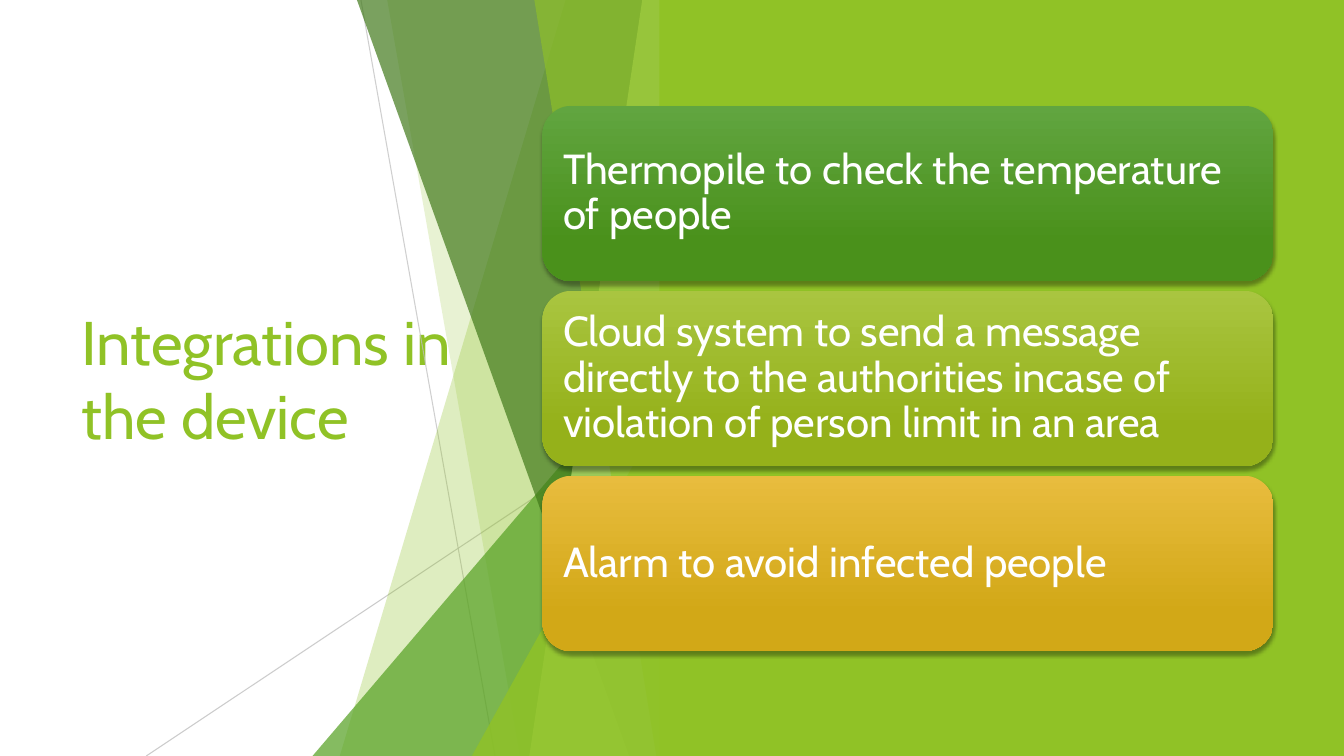
import pptx
import pptx.util
import pptx.dml.color
import pptx.enum.shapes
import pptx.enum.text
import pptx.oxml
import pptx.oxml.ns
from lxml import etree

Inches = pptx.util.Inches
RGB = pptx.dml.color.RGBColor.from_string
qn = pptx.oxml.ns.qn
SHAPE = pptx.enum.shapes.MSO_SHAPE

COLORS = {
    "lime": "90C226", "green": "54A021", "forest": "3F7818", "pale": "BFE471",
    "ray": "BFBFBF", "white": "FFFFFF",
    "green_top": "61A540", "green_base": "4A911B",
    "olive_top": "A9C540", "olive_base": "95B11A",
    "gold_top": "E8BC3E", "gold_base": "D2A817",
}


def write_text(frame, text, size, color, inset_x, inset_y, spacing=1.0):
    frame.word_wrap = True
    frame.vertical_anchor = pptx.enum.text.MSO_ANCHOR.MIDDLE
    frame.margin_left = frame.margin_right = Inches(inset_x)
    frame.margin_top = frame.margin_bottom = Inches(inset_y)
    paragraph = frame.paragraphs[0]
    paragraph.alignment = pptx.enum.text.PP_ALIGN.LEFT
    paragraph.line_spacing = spacing
    run = paragraph.add_run()
    run.text = text
    run.font.name = "Cabin"
    run.font.size = pptx.util.Pt(size)
    run.font.color.rgb = RGB(COLORS[color])


def paint(fill, color, opacity=100):
    fill.solid()
    fill.fore_color.rgb = RGB(COLORS[color])
    if opacity < 100:
        srgb = fill._xPr.find(qn("a:solidFill")).find(qn("a:srgbClr"))
        etree.SubElement(srgb, qn("a:alpha"), val=str(opacity * 1000))


deck = pptx.Presentation()
deck.slide_width, deck.slide_height = Inches(13.33), Inches(7.5)
slide = deck.slides.add_slide(deck.slide_layouts[6])
shapes = slide.shapes
slide.background.fill.solid()
slide.background.fill.fore_color.rgb = RGB(COLORS["white"])

# Title
title = shapes.add_textbox(Inches(0.71), Inches(1.51), Inches(3.88), Inches(4.48))
write_text(title.text_frame, "Integrations in the device", size=44, color="lime",
           inset_x=0.1, inset_y=0.05)

# Thin rays crossing behind the facets
for x1, y1, x2, y2, opacity in [(3.58, 0, 4.91, 7.5, 75), (6.66, 4.03, 1.45, 7.5, 80)]:
    ray = shapes.add_connector(pptx.enum.shapes.MSO_CONNECTOR.STRAIGHT,
                               Inches(x1), Inches(y1), Inches(x2), Inches(y2))
    ray.line.width = pptx.util.Pt(0.75)
    paint(ray.line.fill, "ray", opacity)
    etree.SubElement(ray._element.spPr, qn("a:effectLst"))

# Translucent facets: top-left x, top y, bottom-left x, colour, opacity.
# A facet that starts at the right edge is a right triangle.
EDGE, BOTTOM = 6.66, 7.5
facets = [
    (5.61, 0, 3.37, "lime", 29),
    (3.84, 0, 5.16, "lime", 20),
    (EDGE, 3.33, 3.1, "green", 71),
    (3.54, 0, 6.24, "forest", 69),
    (6.37, 0, 5.25, "pale", 69),
    (5.3, 0, 6.51, "lime", 64),
    (EDGE, 3.93, 4.68, "lime", 80),
]
for top_x, top_y, bottom_x, color, opacity in facets:
    if top_x == EDGE:
        facet = shapes.add_shape(SHAPE.ISOSCELES_TRIANGLE, Inches(bottom_x), Inches(top_y),
                                 Inches(EDGE - bottom_x), Inches(BOTTOM - top_y))
        facet.adjustments[0] = 1
    else:
        outline = shapes.build_freeform(Inches(top_x), Inches(top_y))
        outline.add_line_segments([(Inches(x), Inches(y)) for x, y in
                                   [(EDGE, top_y), (EDGE, BOTTOM), (bottom_x, BOTTOM)]])
        facet = outline.convert_to_shape()
    paint(facet.fill, color, opacity)
    facet.line.fill.background()
    facet.shadow.inherit = False

# Green panel on the right
panel = shapes.add_shape(SHAPE.RECTANGLE, Inches(6.54), 0, Inches(6.79), Inches(7.5))
paint(panel.fill, "lime")
panel.line.fill.background()
panel.shadow.inherit = False

# Integration cards
integrations = [
    ("green", "Thermopile to check the temperature of people"),
    ("olive", "Cloud system to send a message directly to the authorities "
              "incase of violation of person limit in an area"),
    ("gold", "Alarm to avoid infected people"),
]
CARD_TOP, CARD_PITCH = 1.05, 1.835
for row, (tone, text) in enumerate(integrations):
    card = shapes.add_shape(SHAPE.ROUNDED_RECTANGLE, Inches(5.38),
                            Inches(CARD_TOP + row * CARD_PITCH), Inches(7.25), Inches(1.74))
    card.fill.gradient()
    card.fill.gradient_angle = 270
    for stop, position, part in zip(card.fill.gradient_stops, (0, 0.78), ("top", "base")):
        stop.position = position
        stop.color.rgb = RGB(COLORS[f"{tone}_{part}"])
    card.line.fill.background()
    card.shadow.inherit = False
    effects = card._element.spPr.find(qn("a:effectLst"))
    shadow = etree.SubElement(effects, qn("a:outerShdw"), blurRad=str(pptx.util.Pt(3)),
                              dist=str(pptx.util.Pt(2)), dir="5400000", rotWithShape="0")
    shade = etree.SubElement(shadow, qn("a:srgbClr"), val="000000")
    etree.SubElement(shade, qn("a:alpha"), val="35000")
    write_text(card.text_frame, text, size=30, color="white",
               inset_x=0.12, inset_y=0.12, spacing=0.9)

deck.save("out.pptx")
